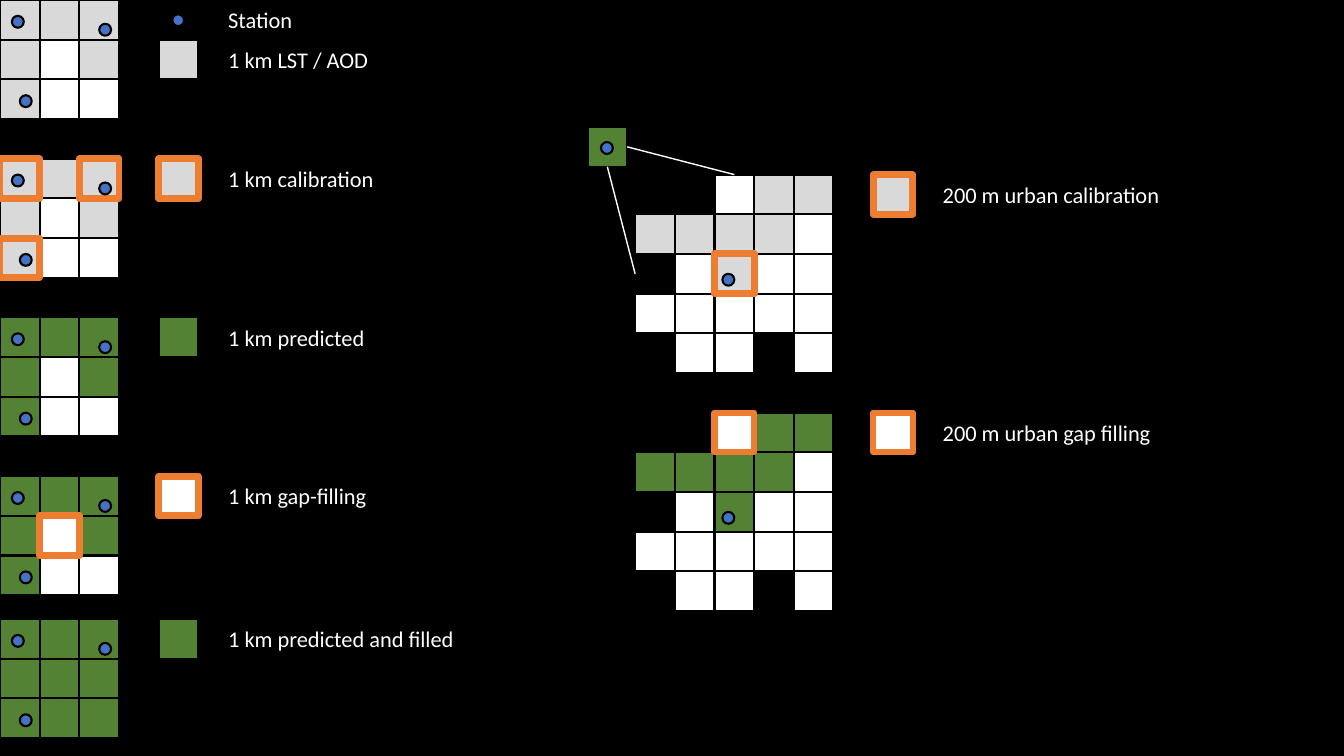
"""Build a slide of the 1 km and 200 m calibration and gap-filling stages."""
from lxml import etree
from pptx import Presentation, util as u
from pptx.dml.color import RGBColor
from pptx.enum import shapes, text
from pptx.oxml import ns

COLORS = {
    "background": "000000",
    "observed": "D9D9D9",
    "missing": "FFFFFF",
    "predicted": "548235",
    "marked": "ED7D31",
    "station": "4472C4",
    "label": "FFFFFF",
}
CELL_KINDS = {"o": "observed", "m": "missing", "p": "predicted"}
CELL = u.Cm(1)
DOT = 0.3
COARSE_STATIONS = [(0.3, 0.4), (2.5, 0.6), (0.5, 2.4)]
FINE_STATIONS = [(2.2, 2.5)]
COARSE_STAGES = [
    (0, ["ooo", "omo", "omm"], "o", 1, "1 km LST / AOD", 4.09),
    (4, ["OoO", "omo", "Omm"], "O", 0, "1 km calibration", 4.29),
    (8, ["ppp", "pmp", "pmm"], "p", 0, "1 km predicted", 3.99),
    (12, ["ppp", "pMp", "pmm"], "M", 0, "1 km gap-filling", 4.04),
    (15.6, ["ppp", "ppp", "ppp"], "p", 0, "1 km predicted and filled", 6.25),
]
FINE_STAGES = [
    (4.4, ["..moo", "oooom", ".mOmm", "mmmmm", ".mm.m"], "O", 5,
     "200 m urban calibration", 6.02),
    (10.4, ["..Mpp", "ppppm", ".mpmm", "mmmmm", ".mm.m"], "M", 4.5,
     "200 m urban gap filling", 5.79),
]


def color(name):
    """Return the named colour."""
    return RGBColor.from_string(COLORS[name])


def grid(*cells):
    """Turn grid units into slide lengths."""
    return [round(cell * CELL) for cell in cells]


def add_block(group, kind, box, fill, outline="background", weight=1.5):
    """Add an outlined preset shape on the grid."""
    shape = group.shapes.add_shape(kind, *grid(*box))
    shape.shadow.inherit = False
    shape.fill.solid()
    shape.fill.fore_color.rgb = color(fill)
    shape.line.color.rgb = color(outline)
    shape.line.width = u.Pt(weight)


def add_cell(group, code, column, row, marked_weight=5):
    """Add one cell; an upper-case code marks it with a heavy outline."""
    style = ("marked", marked_weight) if code.isupper() else ()
    add_block(group, shapes.MSO_SHAPE.RECTANGLE, (column, row, 1, 1),
              CELL_KINDS[code.lower()], *style)


def add_station(group, column, row):
    """Add a station dot."""
    add_block(group, shapes.MSO_SHAPE.OVAL, (column, row, DOT, DOT), "station")


def add_label(group, column, row, wording, width):
    """Add a legend label centred on its grid row."""
    box = group.shapes.add_textbox(*grid(column, row + 0.03, width, 0.94))
    frame = box.text_frame
    frame.word_wrap = False
    frame.auto_size = text.MSO_AUTO_SIZE.SHAPE_TO_FIT_TEXT
    frame.vertical_anchor = text.MSO_ANCHOR.MIDDLE
    run = frame.paragraphs[0].add_run()
    run.text = wording
    run.font.name = "Calibri"
    run.font.size = u.Pt(16)
    run.font.color.rgb = color("label")


def add_raster(group, left, top, rows, stations, marked_weight=5):
    """Add a raster with its marked cells and stations in front."""
    cells = [(code, left + column, top + row)
             for row, codes in enumerate(rows)
             for column, code in enumerate(codes) if code != "."]
    for code, column, row in sorted(cells, key=lambda cell: cell[0].isupper()):
        add_cell(group, code, column, row, marked_weight)
    for column, row in stations:
        add_station(group, left + column, top + row)


def add_legend(group, column, row, code, wording, width, marked_weight=5):
    """Add a legend swatch and its label."""
    add_cell(group, code, column, row, marked_weight)
    add_label(group, column + 1.5, row, wording, width)


def add_zoom_line(group, *ends):
    """Add a thin line from the zoomed cell to its raster."""
    line = group.shapes.add_connector(shapes.MSO_CONNECTOR.STRAIGHT, *grid(*ends))
    line.line.color.rgb = color("label")
    line.line.width = u.Pt(1)
    etree.SubElement(line._element.spPr, ns.qn("a:effectLst"))


def add_zoom(group):
    """Add the predicted cell that the fine raster enlarges."""
    add_cell(group, "p", 14.8, 3.2)
    add_station(group, 15.14, 3.58)
    add_zoom_line(group, 15.3, 4.2, 16, 6.9)
    add_zoom_line(group, 15.8, 3.7, 18.5, 4.4)


def main():
    """Build and save the slide."""
    presentation = Presentation()
    presentation.slide_width = u.Inches(13.33)
    presentation.slide_height = u.Inches(7.5)
    slide = presentation.slides.add_slide(presentation.slide_layouts[6])
    slide.background.fill.solid()
    slide.background.fill.fore_color.rgb = color("background")
    for top, rows, code, legend_row, wording, width in COARSE_STAGES:
        group = slide.shapes.add_group_shape()
        add_raster(group, 0, top, rows, COARSE_STATIONS)
        add_legend(group, 4, top + legend_row, code, wording, width)
        if top == 0:
            add_station(group, 4.34, 0.36)
            add_label(group, 5.5, 0, "Station", 2.16)
    for top, rows, code, weight, wording, width in FINE_STAGES:
        group = slide.shapes.add_group_shape()
        add_raster(group, 16, top, rows, FINE_STATIONS, weight)
        add_legend(group, 22, top, code, wording, width, weight)
        if top == FINE_STAGES[0][0]:
            add_zoom(group)
    presentation.save("out.pptx")


main()
